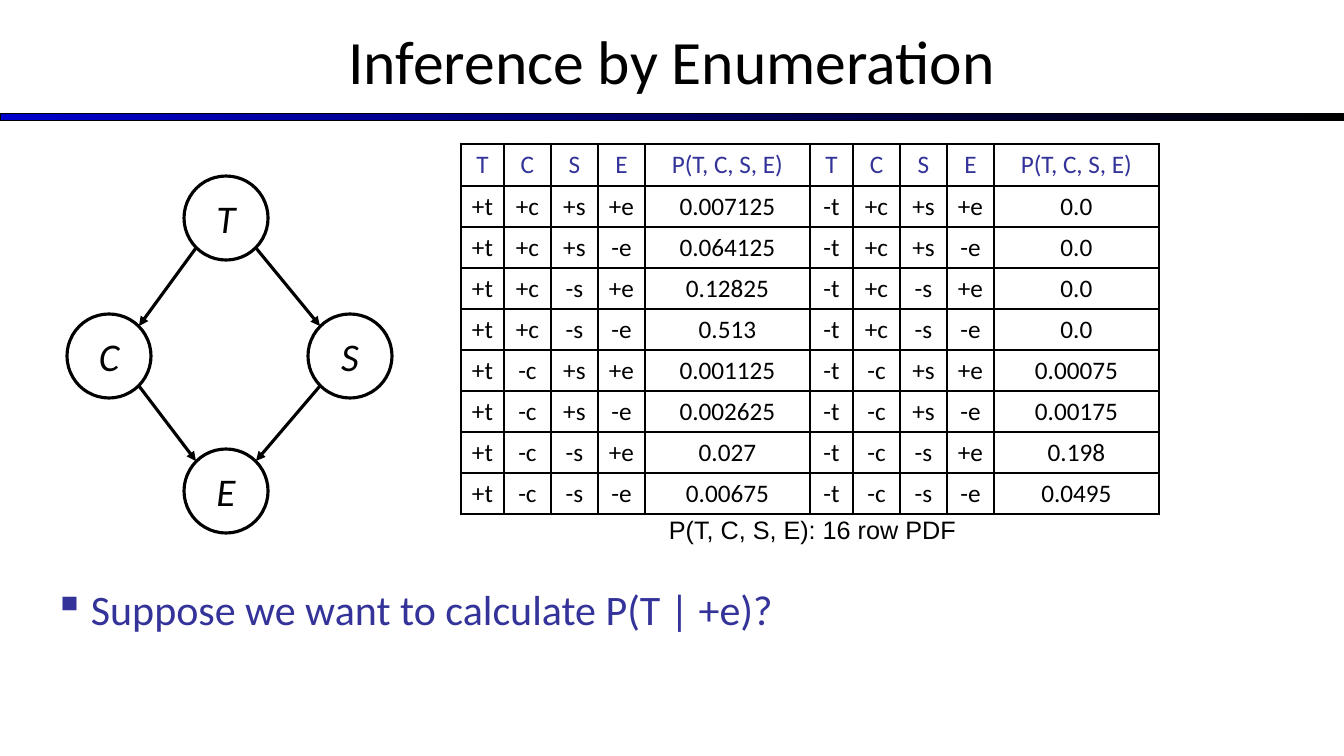
"""Builds the slide on inference by enumeration in a Bayes net."""
from dataclasses import dataclass
from itertools import product

from lxml import etree
from pptx import Presentation
from pptx import util as u
from pptx.dml import color
from pptx.enum import shapes, text
from pptx.oxml import ns

SCALE = 914400 / 100.8
HUES = {"ink": "000000", "paper": "FFFFFF", "accent": "333399", "bar": "0000CC"}
SIZE = 84
INSET = 12
WIDTHS = [43, 47, 47, 47, 165]
HEIGHTS = [42] + [41] * 8
HEADS = ["T", "C", "S", "E", "P(T, C, S, E)"]
THICK, THIN = 2.25, 1


@dataclass
class Node:
    name: str
    left: int
    top: int

    def port(self, right: bool, low: bool) -> tuple[int, int]:
        """Give the point on the circle in one diagonal direction."""
        far = SIZE - INSET
        return (self.left + (far if right else INSET),
                self.top + (far if low else INSET))


@dataclass
class Half:
    sign: str
    left: int
    odds: list[str]


@dataclass
class Label:
    words: str
    box: tuple[int, int, int, int]
    size: int
    font: str = "Calibri"
    hue: str = "ink"
    align: text.PP_ALIGN = text.PP_ALIGN.LEFT
    anchor: text.MSO_ANCHOR = text.MSO_ANCHOR.TOP


NODES = {node.name: node for node in (
    Node("E", 184, 449), Node("T", 184, 176),
    Node("S", 308, 314), Node("C", 67, 314))}
EDGES = ["TS", "TC", "CE", "SE"]
HALVES = [
    Half("+", 461, ["0.007125", "0.064125", "0.12825", "0.513",
                    "0.001125", "0.002625", "0.027", "0.00675"]),
    Half("-", 810, ["0.0", "0.0", "0.0", "0.0",
                    "0.00075", "0.00175", "0.198", "0.0495"]),
]
TITLE = Label("Inference by Enumeration", (0, -3, 1344, 126), 44,
              align=text.PP_ALIGN.CENTER, anchor=text.MSO_ANCHOR.MIDDLE)
BODY = Label("Suppose we want to calculate P(T | +e)?",
             (44, 588, 1254, 122), 30, hue="accent")
NOTE = Label("P(T, C, S, E): 16 row PDF", (659, 509, 446, 40), 18, "Arial")


def px(count: float) -> u.Emu:
    """Turn px into EMU."""
    return u.Emu(round(count * SCALE))


def rgb(hue: str) -> color.RGBColor:
    """Look up a colour by name."""
    return color.RGBColor.from_string(HUES[hue])


def style(par, size: int, font: str = "Calibri", hue: str = "ink",
          slant: bool = False) -> None:
    """Format the runs of a paragraph."""
    for run in par.runs:
        run.font.size = u.Pt(size)
        run.font.name = font
        run.font.italic = slant
        run.font.color.rgb = rgb(hue)


def add_label(slide, label: Label):
    """Draw a text box and return its paragraph."""
    frame = slide.shapes.add_textbox(*map(px, label.box)).text_frame
    frame.word_wrap = True
    frame.vertical_anchor = label.anchor
    frame.text = label.words
    par = frame.paragraphs[0]
    par.alignment = label.align
    style(par, label.size, label.font, label.hue)
    return par


def add_bullet(par) -> None:
    """Give a paragraph a square bullet and a hanging indent."""
    props = par._p.get_or_add_pPr()
    props.set("marL", str(px(37)))
    props.set("indent", str(px(-37)))
    par.line_spacing = 0.8
    tint = etree.SubElement(props, ns.qn("a:buClr"))
    etree.SubElement(tint, ns.qn("a:srgbClr"), val=HUES["accent"])
    etree.SubElement(props, ns.qn("a:buChar"), char="▪")


def add_bar(slide) -> None:
    """Draw the gradient bar below the title."""
    bar = slide.shapes.add_shape(
        shapes.MSO_SHAPE.RECTANGLE, px(0), px(114), px(1344), px(7))
    bar.shadow.inherit = False
    bar.fill.gradient()
    bar.fill.gradient_angle = 0
    for stop, hue, spot in zip(bar.fill.gradient_stops, ("bar", "ink"), (0, 1)):
        stop.color.rgb = rgb(hue)
        stop.position = spot
    bar.line.color.rgb = rgb("ink")
    bar.line.width = u.Pt(0.75)


def add_node(slide, node: Node) -> None:
    """Draw a circle with its variable."""
    disc = slide.shapes.add_shape(
        shapes.MSO_SHAPE.OVAL, px(node.left), px(node.top), px(SIZE), px(SIZE))
    disc.shadow.inherit = False
    disc.fill.solid()
    disc.fill.fore_color.rgb = rgb("paper")
    disc.line.color.rgb = rgb("ink")
    disc.line.width = u.Pt(THICK)
    frame = disc.text_frame
    frame.word_wrap = False
    frame.vertical_anchor = text.MSO_ANCHOR.MIDDLE
    frame.text = node.name
    par = frame.paragraphs[0]
    par.alignment = text.PP_ALIGN.CENTER
    style(par, 28, slant=True)


def add_edge(slide, head: Node, tail: Node) -> None:
    """Draw an arrow from a parent down to its child."""
    right = tail.left > head.left
    start = head.port(right, True)
    end = tail.port(not right, False)
    line = slide.shapes.add_connector(
        shapes.MSO_CONNECTOR.STRAIGHT, *map(px, start + end))
    line.line.color.rgb = rgb("ink")
    line.line.width = u.Pt(THICK)
    etree.SubElement(line.line._get_or_add_ln(), ns.qn("a:tailEnd"),
                     type="triangle")
    etree.SubElement(line._element.spPr, ns.qn("a:effectLst"))


def add_rules(cell, row: int, col: int) -> None:
    """Set the four borders of a cell."""
    thick = {"L": col == 0, "R": col == len(WIDTHS) - 1,
             "T": row < 2, "B": row in (0, len(HEIGHTS) - 1)}
    props = cell._tc.get_or_add_tcPr()
    for spot, (side, bold) in enumerate(thick.items()):
        rule = etree.Element(ns.qn(f"a:ln{side}"),
                             w=str(u.Pt(THICK if bold else THIN)))
        fill = etree.SubElement(rule, ns.qn("a:solidFill"))
        etree.SubElement(fill, ns.qn("a:srgbClr"), val=HUES["ink"])
        props.insert(spot, rule)


def add_half(slide, half: Half) -> None:
    """Draw the table for one value of T."""
    signs = product("+-", repeat=3)
    rows = [HEADS] + [
        [f"{half.sign}t", f"{c}c", f"{s}s", f"{e}e", odd]
        for (c, s, e), odd in zip(signs, half.odds)]
    table = slide.shapes.add_table(
        len(HEIGHTS), len(WIDTHS), px(half.left), px(144),
        px(sum(WIDTHS)), px(sum(HEIGHTS))).table
    table.first_row = table.horz_banding = False
    for col, width in zip(table.columns, WIDTHS):
        col.width = px(width)
    for row, high in zip(table.rows, HEIGHTS):
        row.height = px(high)
    for row, words in enumerate(rows):
        for col, word in enumerate(words):
            cell = table.cell(row, col)
            cell.fill.solid()
            cell.fill.fore_color.rgb = rgb("paper")
            cell.text_frame.text = word
            par = cell.text_frame.paragraphs[0]
            par.alignment = text.PP_ALIGN.CENTER
            style(par, 18, hue="ink" if row else "accent")
            add_rules(cell, row, col)


def main() -> None:
    """Build and save the slide."""
    deck = Presentation()
    deck.slide_width, deck.slide_height = px(1344), px(756)
    slide = deck.slides.add_slide(deck.slide_layouts[6])
    add_bar(slide)
    for node in NODES.values():
        add_node(slide, node)
    for head, tail in EDGES:
        add_edge(slide, NODES[head], NODES[tail])
    for half in HALVES:
        add_half(slide, half)
    add_bullet(add_label(slide, BODY))
    add_label(slide, NOTE)
    add_label(slide, TITLE)
    deck.save("out.pptx")


if __name__ == "__main__":
    main()
